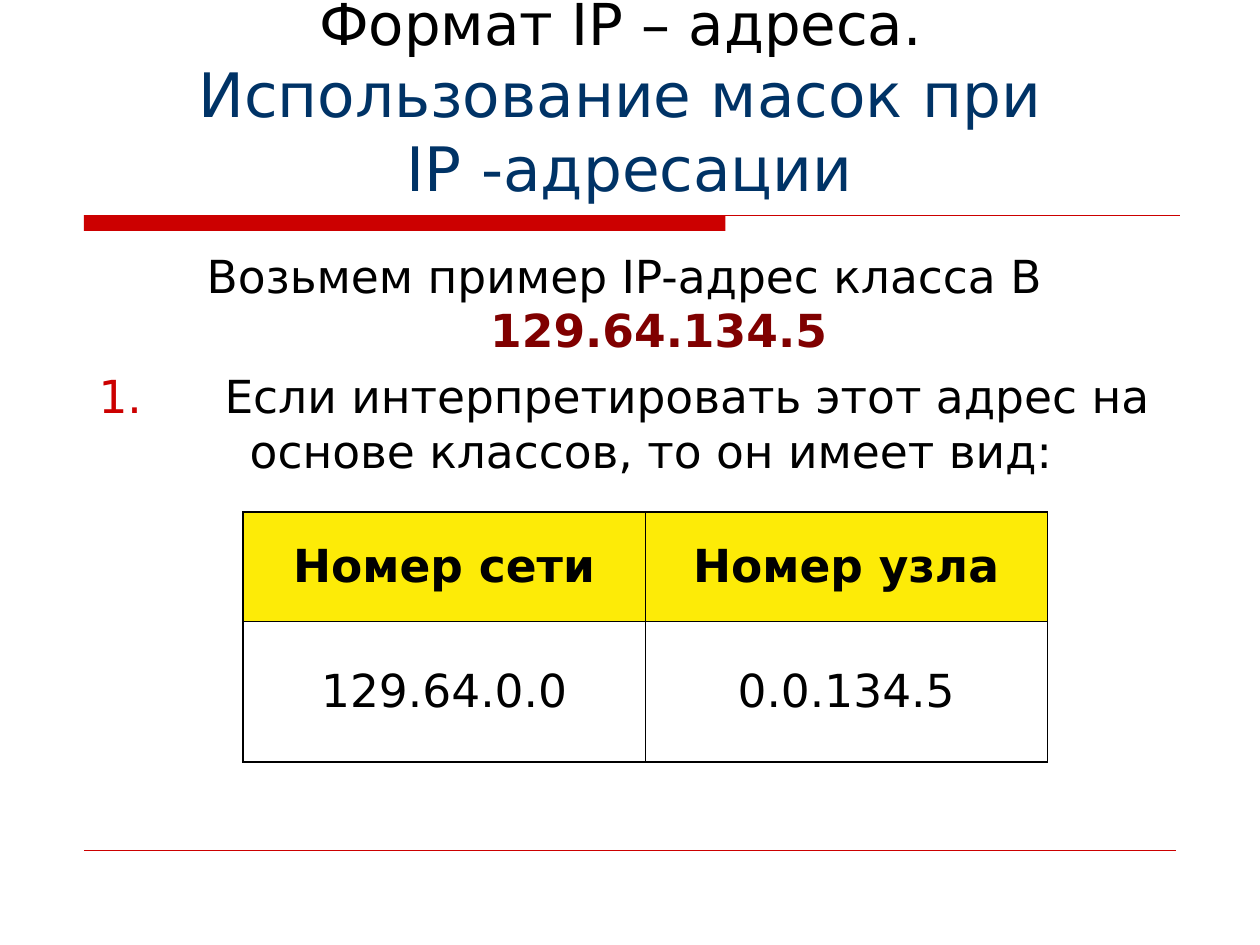
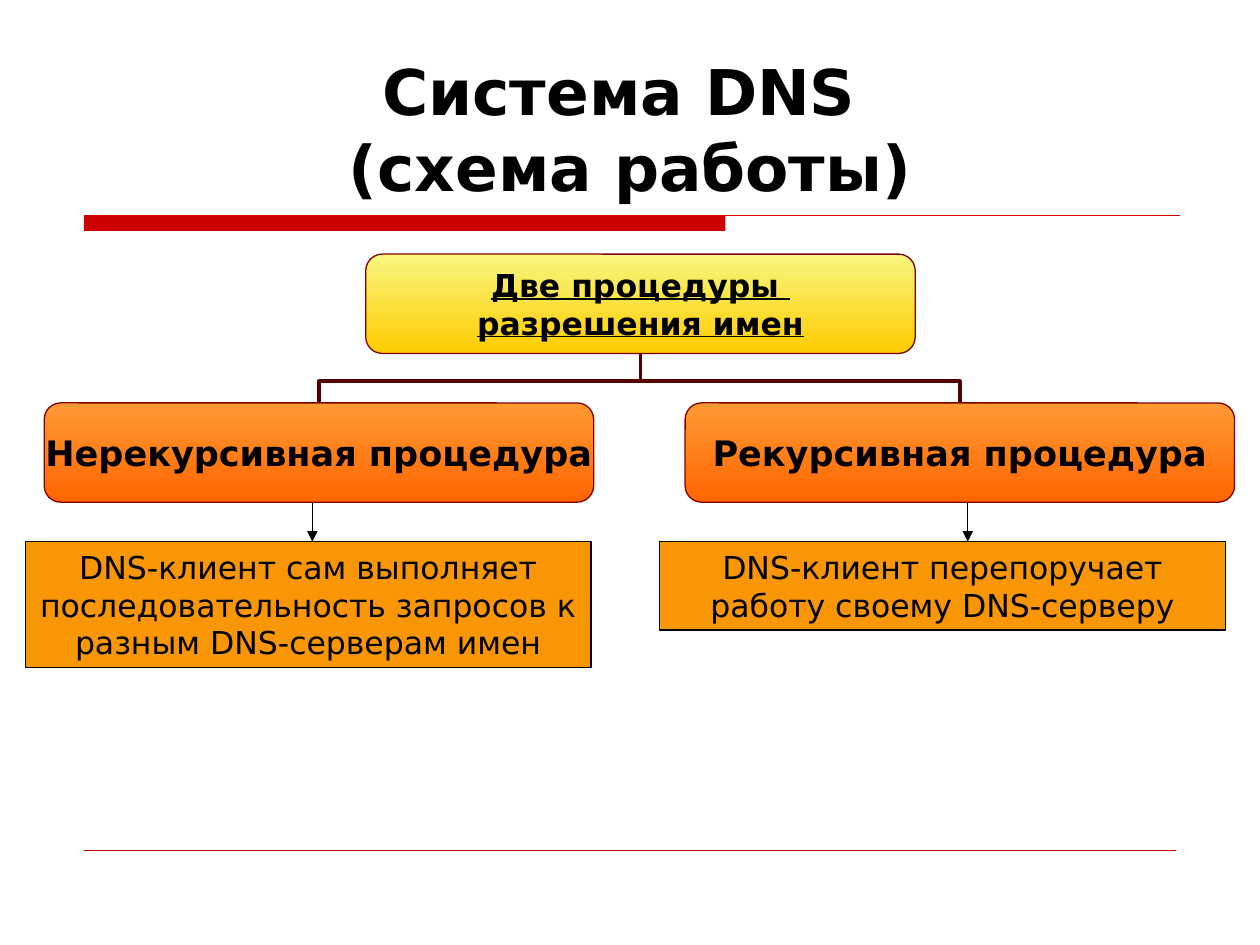
from lxml import etree
from pptx import Presentation
from pptx.dml.color import RGBColor
from pptx.enum.dml import MSO_FILL
from pptx.enum.shapes import MSO_CONNECTOR, MSO_SHAPE
from pptx.enum.text import MSO_ANCHOR, MSO_AUTO_SIZE, PP_ALIGN
from pptx.oxml.ns import qn
from pptx.util import Pt

STRAIGHT, ELBOW = MSO_CONNECTOR.STRAIGHT, MSO_CONNECTOR.ELBOW
RECTANGLE, ROUNDED = MSO_SHAPE.RECTANGLE, MSO_SHAPE.ROUNDED_RECTANGLE
CENTER = PP_ALIGN.CENTER
MIDDLE, BOTTOM = MSO_ANCHOR.MIDDLE, MSO_ANCHOR.BOTTOM
NO_FIT, GROW = MSO_AUTO_SIZE.NONE, MSO_AUTO_SIZE.SHAPE_TO_FIT_TEXT
TOP_SIDE, BOTTOM_SIDE = 0, 2

FONT = "DejaVu Sans"
COLORS = {
    "text": "000000", "red": "CC0000", "navy": "003366", "maroon": "800000",
    "header": "FDEB07", "note": "F89606", "branch": "540000",
    "root_top": "F9F67F", "root_bottom": "FFCC00",
    "child_top": "FF9933", "child_bottom": "FF6600",
}


def rgb(name):
    return RGBColor.from_string(COLORS[name])


def add_xml(parent, tag, **attributes):
    return etree.SubElement(parent, qn(tag), attributes)


# Text
def add_span(para, text, size=18, color="text", bold=False, underline=False):
    """Add formatted text; a newline becomes a line break."""
    for number, line in enumerate(text.split("\n")):
        if number:
            para.add_line_break()
        span = para.add_run()
        span.text = line
        font = span.font
        font.name, font.size = FONT, Pt(size)
        font.bold, font.underline = bold, underline
        font.color.rgb = rgb(color)


def place(shape, left, top, width, height):
    shape.left, shape.top = Pt(left), Pt(top)
    shape.width, shape.height = Pt(width), Pt(height)


def set_title(page, *spans):
    """Each span is a pair of text and its format."""
    frame = page.shapes.title.text_frame
    frame.auto_size = NO_FIT
    para = frame.paragraphs[0]
    para.alignment = CENTER
    for text, style in spans:
        add_span(para, text, **style)


def set_indent(para, number_color=None):
    """Hanging indent, with an automatic number if a colour is given."""
    properties = para._p.get_or_add_pPr()
    properties.set("marL", str(Pt(39)))
    properties.set("indent", str(-Pt(39)))
    if number_color is None:
        add_xml(properties, "a:buNone")
        return
    add_xml(add_xml(properties, "a:buClr"), "a:srgbClr", val=COLORS[number_color])
    add_xml(properties, "a:buFont", typeface=FONT)
    add_xml(properties, "a:buAutoNum", type="arabicPeriod")
    tabs = add_xml(properties, "a:tabLst")
    for inch in range(1, 9):
        add_xml(tabs, "a:tab", pos=str(Pt(72 * inch)), algn="l")


# Lines and boxes
def add_line(page, start, end, color="text", width=0.75, arrow=False, kind=STRAIGHT):
    line = page.shapes.add_connector(kind, *(Pt(value) for value in (*start, *end)))
    line.line.color.rgb = rgb(color)
    line.line.width = Pt(width)
    if arrow:
        add_xml(line.line._get_or_add_ln(), "a:tailEnd", type="triangle")
    add_xml(line._element.spPr, "a:effectLst")
    return line


def add_branch(page, parent, child):
    """Elbow running down from the parent, across and down to the child."""
    line = add_line(page, (0, 0), (0, 0), "branch", 2.25, kind=ELBOW)
    line.begin_connect(parent, BOTTOM_SIDE)
    line.end_connect(child, TOP_SIDE)
    start_x, start_y = line.begin_x, line.begin_y
    end_x, end_y = line.end_x, line.end_y
    # The frame lies on its side, so it is turned about its centre
    drop, span = end_y - start_y, abs(end_x - start_x)
    transform = line._element.spPr.find(qn("a:xfrm"))
    for flip in ("flipH", "flipV"):
        transform.attrib.pop(flip, None)
    if end_x < start_x:
        transform.set("rot", str(90 * 60000))
    else:
        transform.set("rot", str(270 * 60000))
        transform.set("flipH", "1")
    line._element.spPr.find(qn("a:prstGeom")).get_or_add_avLst()
    guides = line._element.spPr.find(qn("a:prstGeom")).find(qn("a:avLst"))
    add_xml(guides, "a:gd", name="adj1", fmla="val 56100")
    offset, extent = transform.find(qn("a:off")), transform.find(qn("a:ext"))
    offset.set("x", str((start_x + end_x - drop) // 2))
    offset.set("y", str((start_y + end_y - span) // 2))
    extent.set("cx", str(drop))
    extent.set("cy", str(span))


def add_box(page, kind, left, top, width, height, fills, line_color=None):
    """One fill colour is solid, two make a gradient from top to bottom."""
    box = page.shapes.add_shape(kind, Pt(left), Pt(top), Pt(width), Pt(height))
    box.shadow.inherit = False
    if len(fills) == 1:
        box.fill.solid()
        box.fill.fore_color.rgb = rgb(fills[0])
    else:
        box.fill.gradient()
        box.fill.gradient_angle = 270
        for stop, fill in zip(box.fill.gradient_stops, fills):
            stop.color.rgb = rgb(fill)
    if line_color:
        box.line.color.rgb = rgb(line_color)
        box.line.width = Pt(0.75)
    else:
        box.line.fill.background()
    return box


def add_node(page, left, top, lines, fills, **style):
    node = add_box(page, ROUNDED, left, top, 314, 56.75, fills, "maroon")
    frame = node.text_frame
    frame.word_wrap = False
    frame.vertical_anchor = MIDDLE
    frame.margin_left = frame.margin_right = 0
    frame.margin_top = frame.margin_bottom = 0
    for number, line in enumerate(lines):
        para = frame.add_paragraph() if number else frame.paragraphs[0]
        para.alignment = CENTER
        add_span(para, line, bold=True, **style)
    return node


def add_note(page, left, height, text):
    note = add_box(page, RECTANGLE, left, 309.5, 323.25, height, ["note"], "text")
    frame = note.text_frame
    frame.word_wrap = True
    frame.auto_size = GROW
    frame.vertical_anchor = MSO_ANCHOR.TOP
    frame.paragraphs[0].alignment = CENTER
    add_span(frame.paragraphs[0], text)


# Table
def set_borders(cell, widths):
    properties = cell._tc.get_or_add_tcPr()
    for side, width in widths.items():
        border = add_xml(properties, f"a:ln{side}", w=str(Pt(width)))
        add_xml(add_xml(border, "a:solidFill"), "a:srgbClr", val=COLORS["text"])


def add_address_table(page, rows):
    outer, inner = 1.08, 0.45
    last_row, last_column = len(rows) - 1, len(rows[0]) - 1
    table = page.shapes.add_table(
        len(rows), len(rows[0]), Pt(139), Pt(292.5), Pt(459.5), Pt(143)).table
    table.first_row = table.horz_banding = False
    table.rows[0].height, table.rows[1].height = Pt(62.5), Pt(80.5)
    for row, texts in enumerate(rows):
        for column, text in enumerate(texts):
            cell = table.cell(row, column)
            set_borders(cell, {
                "L": inner if column else outer,
                "R": outer if column == last_column else inner,
                "T": inner if row else outer,
                "B": outer if row == last_row else inner,
            })
            if row:
                cell.fill.background()
            else:
                cell.fill.solid()
                cell.fill.fore_color.rgb = rgb("header")
            cell.vertical_anchor = MIDDLE
            para = cell.text_frame.paragraphs[0]
            para.alignment = CENTER
            add_span(para, text, size=26, bold=row == 0)


# Shared look
def style_master(deck, page):
    """Set the title area and move the rules from a page to the master."""
    master = deck.slide_master
    title = master.placeholders[0]
    place(title, 45, 24, 630, 96)
    title.text_frame.vertical_anchor = BOTTOM
    rules = [
        add_box(page, RECTANGLE, 48, 123, 366.5, 9, ["red"]),
        add_line(page, (48, 123), (674.5, 123), "red"),
        add_line(page, (48, 486), (672, 486), "red", 0.25),
    ]
    for rule in rules:
        master.shapes.element.append(rule._element)


# Slides
def build_mask_page(page):
    set_title(page,
              ("Формат IP – адреса. \n", {"size": 33}),
              ("Использование масок при \nIP -адресации", {"size": 35, "color": "navy"}))
    body = page.placeholders[1]
    place(body, 36.5, 138, 641, 336)
    frame = body.text_frame
    frame.auto_size = NO_FIT
    example, question = frame.paragraphs[0], frame.add_paragraph()
    set_indent(example)
    set_indent(question, "red")
    example.space_before, question.space_before = Pt(0), Pt(6.5)
    example.alignment = question.alignment = CENTER
    add_span(example, "Возьмем пример IP-адрес класса В ", size=26)
    add_span(example, "129.64.134.5", size=26, color="maroon", bold=True)
    add_span(question, "\tЕсли интерпретировать этот адрес на основе классов, "
             "то он имеет вид: ", size=26)
    add_address_table(page, [["Номер сети", "Номер узла"],
                             ["129.64.0.0", "0.0.134.5"]])


def build_dns_page(page):
    set_title(page, ("Система DNS \n(схема работы)", {"size": 36, "bold": True}))
    root = add_node(page, 209, 145.25, ["Две процедуры ", "разрешения имен"],
                    ["root_top", "root_bottom"], underline=True)
    procedures = [
        (25.25, "Нерекурсивная процедура", 178.5, 14.5, 72,
         "DNS-клиент сам выполняет последовательность запросов "
         "к разным DNS-серверам имен"),
        (391.5, "Рекурсивная процедура", 553, 377, 50.5,
         "DNS-клиент перепоручает работу своему DNS-серверу"),
    ]
    for left, name, arrow_x, note_left, note_height, note in procedures:
        node = add_node(page, left, 230.25, [name],
                        ["child_top", "child_bottom"], size=20)
        add_branch(page, root, node)
        add_note(page, note_left, note_height, note)
        add_line(page, (arrow_x, 287), (arrow_x, 309.5), arrow=True)


def main():
    deck = Presentation()
    deck.slide_width, deck.slide_height = Pt(720), Pt(540)
    mask_page = deck.slides.add_slide(deck.slide_layouts[1])
    dns_page = deck.slides.add_slide(deck.slide_layouts[5])
    style_master(deck, mask_page)
    build_mask_page(mask_page)
    build_dns_page(dns_page)
    deck.save("out.pptx")


if __name__ == "__main__":
    main()
